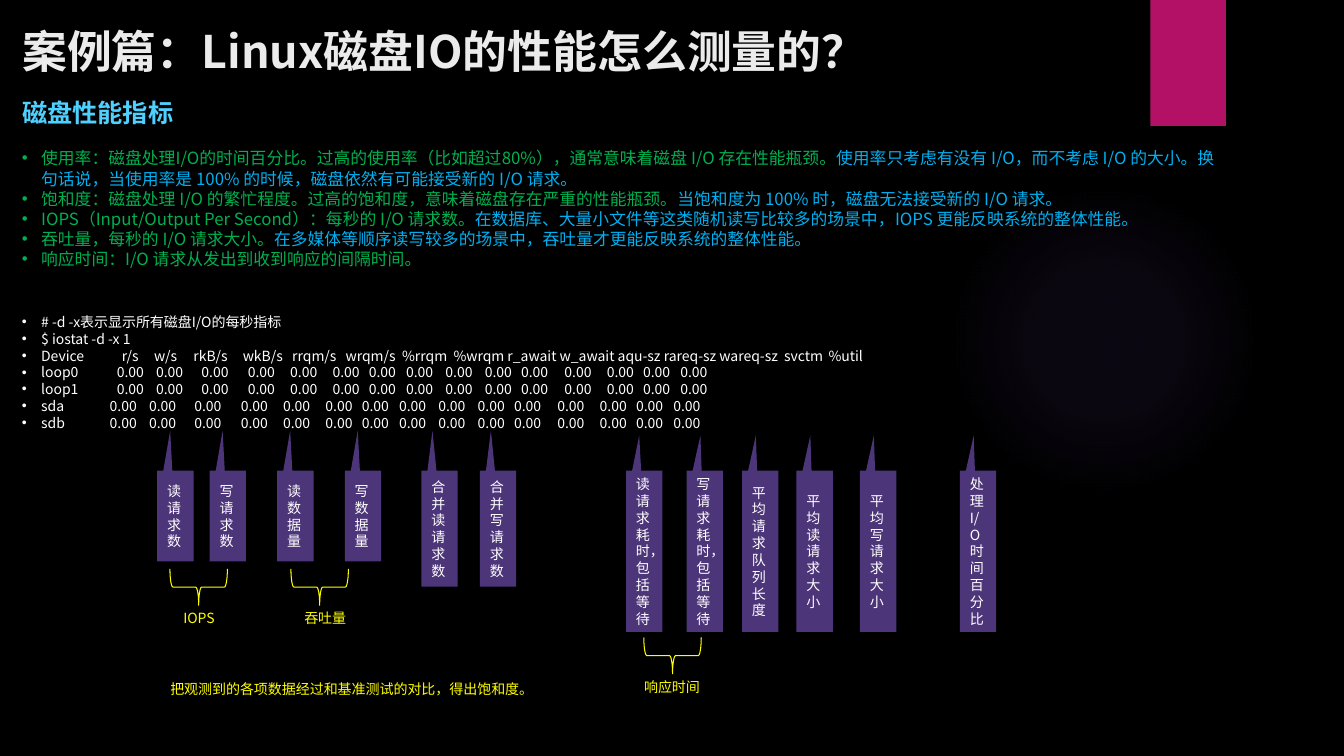
"""Builds the slide on measuring Linux disk IO performance."""
import pptx
import pptx.util
import pptx.dml.color
import pptx.enum.shapes
import pptx.enum.text
import pptx.oxml
import pptx.oxml.ns

Inches = pptx.util.Inches
KINDS = pptx.enum.shapes.MSO_SHAPE
MIDDLE = pptx.enum.text.MSO_ANCHOR.MIDDLE
FONT = "Noto Sans CJK SC"
HUES = {"back": "000000", "title": "EBEBEB", "head": "4FD1FF", "term": "00B050",
        "note": "00B0F0", "text": "FFFFFF", "mark": "FFFF00", "call": "9B6BF2",
        "band": "B31166"}

TITLE = "案例篇：Linux磁盘IO的性能怎么测量的？"
HEAD = "磁盘性能指标"
TERMS = [
    ("使用率：磁盘处理I/O的时间百分比。过高的使用率（比如超过80%），通常意味着磁盘 I/O 存在性能瓶颈。",
     "使用率只考虑有没有 I/O，而不考虑 I/O 的大小。换句话说，当使用率是 100% 的时候，磁盘依然有可能接受新的 I/O 请求。"),
    ("饱和度：磁盘处理 I/O 的繁忙程度。过高的饱和度，意味着磁盘存在严重的性能瓶颈。",
     "当饱和度为 100% 时，磁盘无法接受新的 I/O 请求。"),
    ("IOPS（Input/Output Per Second）：每秒的 I/O 请求数。",
     "在数据库、大量小文件等这类随机读写比较多的场景中，IOPS 更能反映系统的整体性能。"),
    ("吞吐量，每秒的 I/O 请求大小。",
     "在多媒体等顺序读写较多的场景中，吞吐量才更能反映系统的整体性能。"),
    ("响应时间：I/O 请求从发出到收到响应的间隔时间。",),
]
COLS = ["Device", "r/s", "w/s", "rkB/s", "wkB/s", "rrqm/s", "wrqm/s", "%rrqm",
        "%wrqm r_await w_await aqu-sz rareq-sz wareq-sz", "svctm", "%util"]
HEAD_TABS = [0.99, 1.31, 1.7, 2.19, 2.68, 3.21, 3.77, 4.28, 7.56, 8.0]
LOOP_TABS = [0.94, 1.33, 1.78, 2.24, 2.66, 3.08, 3.44, 3.81,
             4.2, 4.59, 4.95, 5.38, 5.8, 6.16, 6.53]
DISK_TABS = [round(stop - 0.07, 2) for stop in LOOP_TABS]
ZEROS = ["0.00"] * len(LOOP_TABS)
OUTPUT = [
    (["# -d -x表示显示所有磁盘I/O的每秒指标"], []),
    (["$ iostat -d -x 1"], []),
    (COLS, HEAD_TABS),
    (["loop0"] + ZEROS, LOOP_TABS),
    (["loop1"] + ZEROS, LOOP_TABS),
    (["sda"] + ZEROS, DISK_TABS),
    (["sdb"] + ZEROS, DISK_TABS),
]
CALLS = [
    (0.9, -0.143, -0.943, [(1.56, "读请求数"), (2.08, "写请求数"),
                           (2.75, "读数据量"), (3.42, "写数据量")]),
    (1.15, -0.195, -0.846, [(4.18, "合并读请求数"), (4.76, "合并写请求数")]),
    (1.6, -0.137, -0.719, [(6.21, "读请求耗时，包括等待")]),
    (1.6, -0.118, -0.719, [(6.81, "写请求耗时，包括等待"), (7.36, "平均请求队列长度"),
                           (7.9, "平均读请求大小"), (8.53, "平均写请求大小"),
                           (9.52, "处理I/O时间百分比")]),
]
BRACES = [(1.79, 5.54, "IOPS", 1.72, 0.66), (2.99, 5.54, "吞吐量", 2.92, 0.66),
          (6.49, 6.22, "响应时间", 6.29, 0.76)]
CLOSE = "把观测到的各项数据经过和基准测试的对比，得出饱和度。"


def rgb(name):
    return pptx.dml.color.RGBColor.from_string(HUES[name])


def add_xml(parent, tag, **attrs):
    node = pptx.oxml.ns.qn("a:" + tag)
    child = parent.makeelement(node, attrs)
    parent.append(child)
    return child


def style(run, size, hue, bold=False):
    run.font.size = pptx.util.Pt(size)
    run.font.bold = bold
    run.font.color.rgb = rgb(hue)
    run.font.name = FONT
    add_xml(run.font._element, "ea", typeface=FONT)


def write(frame, text, size, hue, bold=False):
    frame.text = text
    style(frame.paragraphs[0].runs[0], size, hue, bold)


def add_text(slide, box, wrap=True):
    frame = slide.shapes.add_textbox(*map(Inches, box)).text_frame
    frame.word_wrap = wrap
    return frame


def add_item(frame, first, tabs=()):
    para = frame.paragraphs[0] if first else frame.add_paragraph()
    props = para._p.get_or_add_pPr()
    props.set("marL", str(Inches(0.19)))
    props.set("indent", str(-Inches(0.19)))
    add_xml(props, "buFont", typeface="Arial")
    add_xml(props, "buChar", char="•")
    if tabs:
        stops = add_xml(props, "tabLst")
        for stop in tabs:
            add_xml(stops, "tab", pos=str(Inches(stop)), algn="l")
    return para


def add_shape(slide, kind, box, hue=None):
    shape = slide.shapes.add_shape(kind, *map(Inches, box))
    shape.shadow.inherit = False
    shape.line.fill.background()
    if hue:
        shape.fill.solid()
        shape.fill.fore_color.rgb = rgb(hue)
    else:
        shape.fill.background()
    return shape


def add_glow(slide):
    glow = add_shape(slide, KINDS.OVAL, (9.41, 1.83, 3.08, 3.08))
    glow.fill.gradient()
    grad = glow._element.spPr.find(pptx.oxml.ns.qn("a:gradFill"))
    for child in list(grad):
        grad.remove(child)
    stops = add_xml(grad, "gsLst")
    for place, alpha in ((0, 7), (36, 6), (69, 0)):
        stop = add_xml(stops, "gs", pos=str(place * 1000))
        color = add_xml(stop, "srgbClr", val=HUES["call"])
        add_xml(color, "alpha", val=str(alpha * 1000))
    shade = add_xml(grad, "path", path="circle")
    add_xml(shade, "fillToRect", l="50000", t="50000", r="50000", b="50000")


def add_call(slide, left, high, tip, text):
    call = add_shape(slide, KINDS.RECTANGULAR_CALLOUT, (left, 4.67, 0.36, high), "call")
    color = call._element.spPr.find(".//" + pptx.oxml.ns.qn("a:srgbClr"))
    add_xml(color, "alpha", val="50000")
    call.adjustments[0], call.adjustments[1] = tip
    frame = call.text_frame
    frame.word_wrap = True
    frame.vertical_anchor = MIDDLE
    write(frame, text, 10, "text")
    frame.paragraphs[0].alignment = pptx.enum.text.PP_ALIGN.LEFT


def add_brace(slide, left, top, text, start, wide):
    brace = add_shape(slide, KINDS.RIGHT_BRACE, (left, top, 0.36, 0.57))
    brace.rotation = 90
    brace.line.color.rgb = rgb("mark")
    brace.line.width = pptx.util.Pt(0.75)
    write(add_text(slide, (start, top + 0.46, wide, 0.27)), text, 10, "mark")


def main():
    deck = pptx.Presentation()
    deck.slide_width, deck.slide_height = Inches(13.33), Inches(7.5)
    slide = deck.slides.add_slide(deck.slide_layouts[5])
    slide.background.fill.solid()
    slide.background.fill.fore_color.rgb = rgb("back")
    add_glow(slide)
    add_shape(slide, KINDS.RECTANGLE, (11.41, 0, 0.75, 1.25), "band")

    title = slide.shapes.title
    title.left, title.top, title.width, title.height = map(Inches, (0.12, 0.17, 10.29, 0.66))
    write(title.text_frame, TITLE, 32, "title", True)
    title.text_frame.vertical_anchor = MIDDLE
    title.text_frame.paragraphs[0].alignment = pptx.enum.text.PP_ALIGN.LEFT
    write(add_text(slide, (0.12, 0.92, 1.72, 0.4), False), HEAD, 18, "head", True)

    terms = add_text(slide, (0.12, 1.42, 12.17, 1.31))
    for row, parts in enumerate(TERMS):
        para = add_item(terms, row == 0)
        for part, hue in zip(parts, ("term", "note")):
            run = para.add_run()
            run.text = part
            style(run, 12, hue)

    output = add_text(slide, (0.12, 3.06, 12.17, 1.28))
    for row, (cells, tabs) in enumerate(OUTPUT):
        run = add_item(output, row == 0, tabs).add_run()
        run.text = "\t".join(cells)
        style(run, 10, "text")

    for high, tip_x, tip_y, calls in CALLS:
        for left, text in calls:
            add_call(slide, left, high, (tip_x, tip_y), text)
    for brace in BRACES:
        add_brace(slide, *brace)
    write(add_text(slide, (1.59, 6.7, 4.08, 0.27)), CLOSE, 10, "mark")
    deck.save("out.pptx")


if __name__ == "__main__":
    main()
